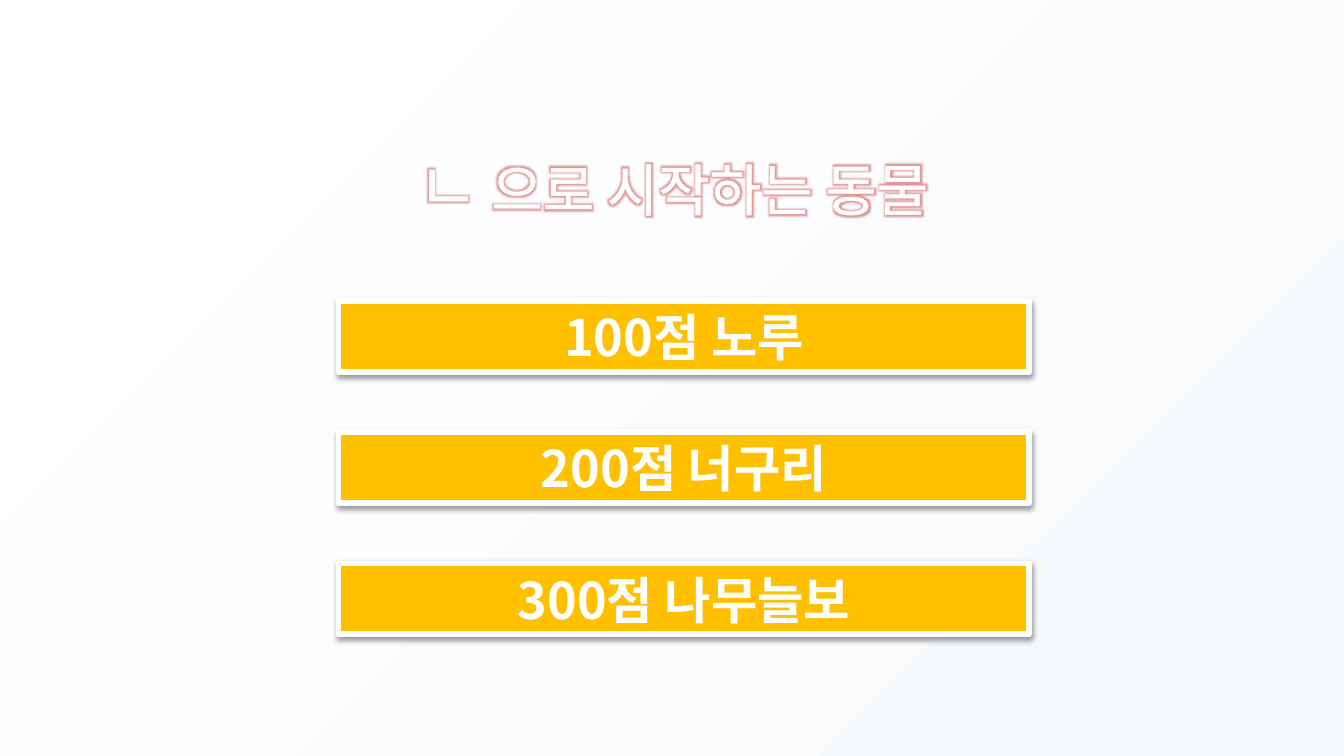
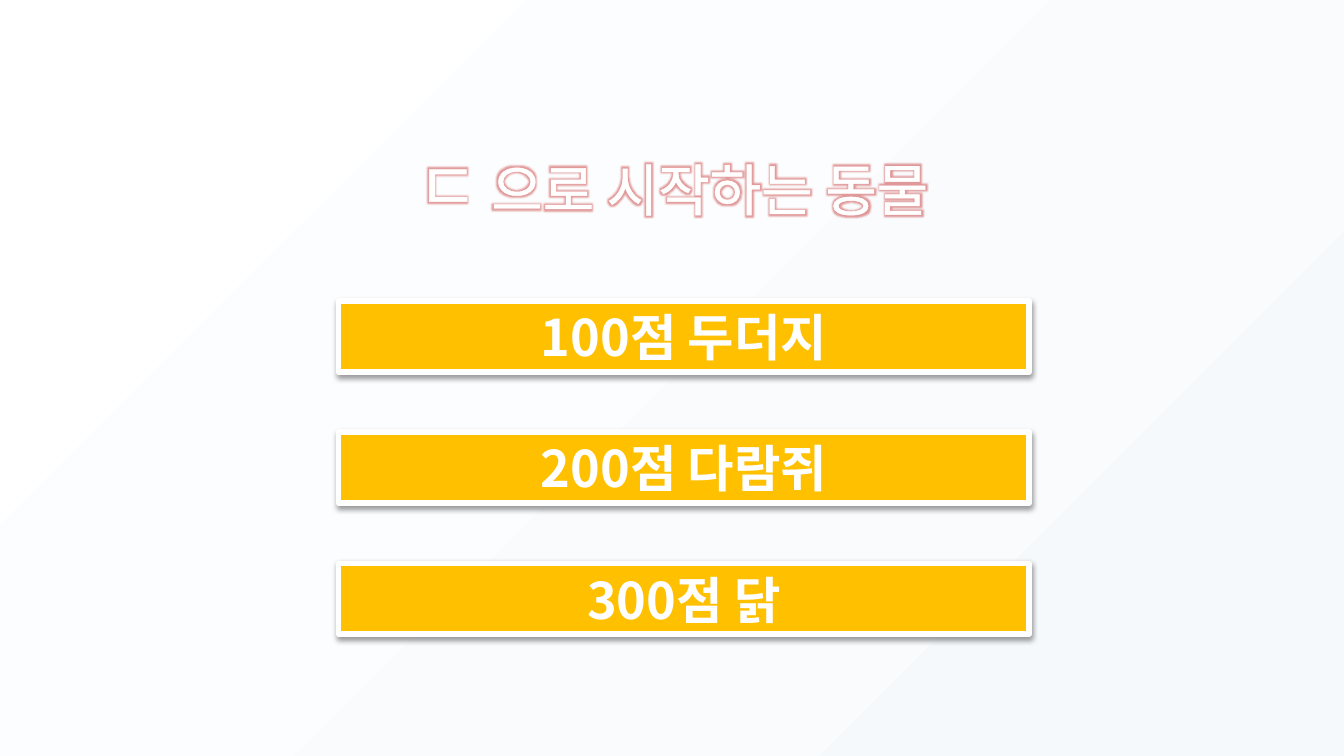
"""Builds two quiz slides about animals by their first letter."""
from lxml import etree
from pptx import Presentation
from pptx.dml.color import RGBColor
from pptx.enum import shapes, text
from pptx.oxml import ns
from pptx.util import Pt

WHITE = RGBColor(0xFF, 0xFF, 0xFF)
PALE = RGBColor(0xF6, 0xF9, 0xFC)
AMBER = RGBColor(0xFF, 0xC0, 0x00)
BLACK = RGBColor(0x00, 0x00, 0x00)
GLOW = RGBColor(0xC8, 0x36, 0x36)
FONT = "Noto Sans CJK KR"
BAR_X, BAR_Y, BAR_W, BAR_H, BAR_STEP = 181.4, 161.4, 370, 38, 70.2

QUIZZES = [
    ("ㄴ", ["노루", "너구리", "나무늘보"]),
    ("ㄷ", ["두더지", "다람쥐", "닭"]),
]


def add_effect(parent, tag, color, alpha, **attrs):
    effect = etree.SubElement(parent, ns.qn(tag), {k: str(v) for k, v in attrs.items()})
    clr = etree.SubElement(effect, ns.qn("a:srgbClr"), val=str(color))
    etree.SubElement(clr, ns.qn("a:alpha"), val=str(alpha * 1000))


def add_run(p, content, **fmt):
    r = p.add_run()
    r.text = content
    r.font.fill.solid()
    r.font.fill.fore_color.rgb = WHITE
    for key, value in {"name": FONT, **fmt}.items():
        setattr(r.font, key, value)
    r_pr = r.font._element
    latin = r_pr.find(ns.qn("a:latin"))
    latin.addnext(etree.Element(ns.qn("a:ea"), typeface=FONT))
    return r_pr


prs = Presentation()
prs.slide_width, prs.slide_height = Pt(720), Pt(405)

for letter, animals in QUIZZES:
    s = prs.slides.add_slide(prs.slide_layouts[6])
    bg = s.background.fill
    bg.gradient()
    bg.gradient_angle = 135
    for stop, color in zip(bg.gradient_stops, (PALE, WHITE)):
        stop.color.rgb = color

    tf = s.shapes.add_textbox(Pt(194.4), Pt(64.8), Pt(332), Pt(53.2)).text_frame
    tf.word_wrap = True
    tf.auto_size = text.MSO_AUTO_SIZE.SHAPE_TO_FIT_TEXT
    p = tf.paragraphs[0]
    p.alignment = text.PP_ALIGN.CENTER
    p.line_spacing = 1.2
    for content, size in ((letter, 36), (" 으로 시작하는 동물", 30)):
        r_pr = add_run(p, content, size=Pt(size))
        ln = etree.Element(ns.qn("a:ln"), w=str(Pt(1.45)))
        fill = etree.SubElement(ln, ns.qn("a:solidFill"))
        etree.SubElement(fill, ns.qn("a:srgbClr"), val=str(WHITE))
        r_pr.insert(0, ln)
        effects = etree.Element(ns.qn("a:effectLst"))
        r_pr.find(ns.qn("a:solidFill")).addnext(effects)
        add_effect(effects, "a:glow", GLOW, 50, rad=Pt(5))

    for i, animal in enumerate(animals):
        sp = s.shapes.add_shape(shapes.MSO_SHAPE.RECTANGLE, Pt(BAR_X),
                                Pt(BAR_Y + i * BAR_STEP), Pt(BAR_W), Pt(BAR_H))
        sp.fill.solid()
        sp.fill.fore_color.rgb = AMBER
        sp.line.color.rgb = WHITE
        sp.line.width = Pt(3)
        sp.shadow.inherit = False
        effects = sp._element.spPr.find(ns.qn("a:effectLst"))
        add_effect(effects, "a:outerShdw", BLACK, 38, blurRad=Pt(3.1),
                   dist=Pt(1.6), dir=90 * 60000, rotWithShape=0)
        tf = sp.text_frame
        frame = {"margin_left": Pt(6), "margin_right": Pt(6), "margin_top": Pt(3),
                 "margin_bottom": Pt(3), "word_wrap": True,
                 "vertical_anchor": text.MSO_ANCHOR.MIDDLE}
        for key, value in frame.items():
            setattr(tf, key, value)
        p = tf.paragraphs[0]
        p.alignment = text.PP_ALIGN.CENTER
        add_run(p, f"{(i + 1) * 100}점 {animal}", size=Pt(27), bold=True)

prs.save("out.pptx")
